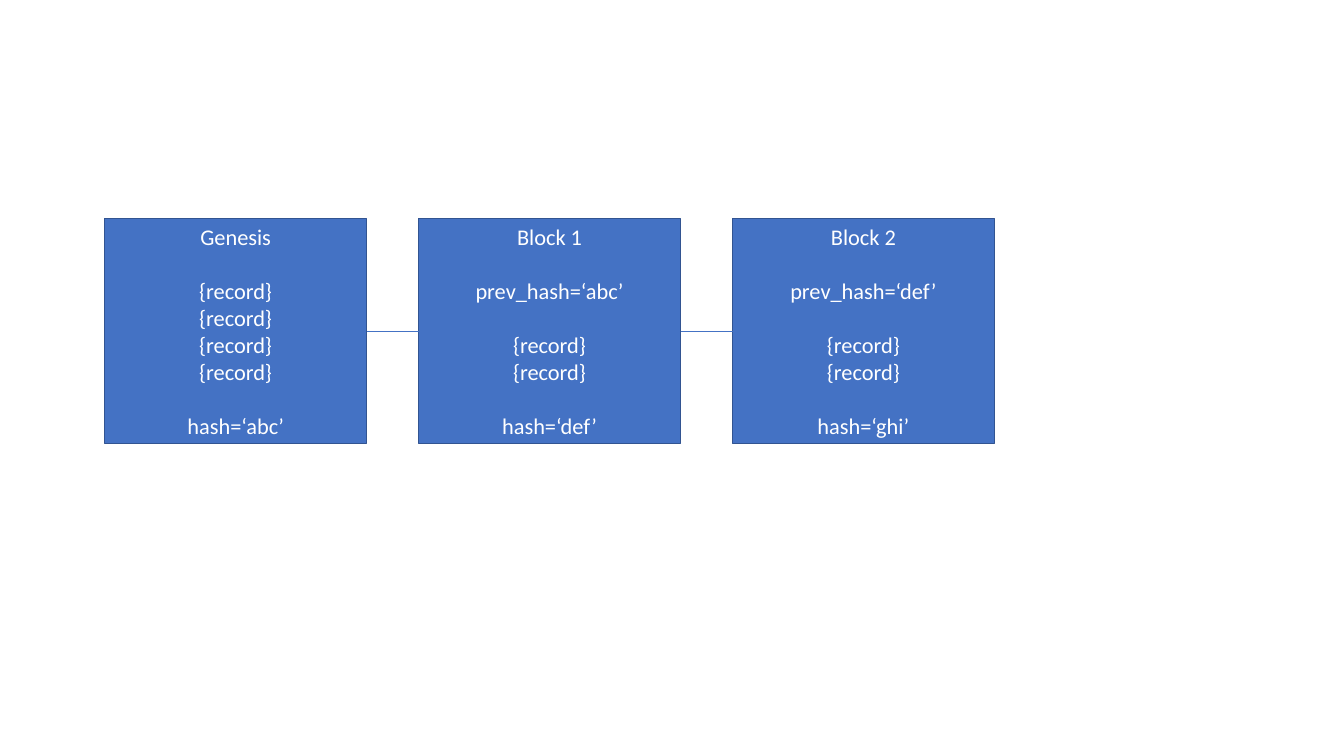
from dataclasses import dataclass
from itertools import pairwise

from lxml import etree
from pptx import Presentation
from pptx.dml.color import RGBColor
from pptx.enum.shapes import MSO_CONNECTOR, MSO_SHAPE
from pptx.enum.text import MSO_ANCHOR, PP_ALIGN
from pptx.oxml.ns import qn
from pptx.shapes.autoshape import Shape
from pptx.slide import Slide
from pptx.util import Cm, Pt

RECTANGLE = MSO_SHAPE.RECTANGLE
STRAIGHT = MSO_CONNECTOR.STRAIGHT
MIDDLE = MSO_ANCHOR.MIDDLE
CENTER = PP_ALIGN.CENTER

BLUE = RGBColor(0x44, 0x72, 0xC4)
DARK_BLUE = RGBColor(0x32, 0x54, 0x91)
WHITE = RGBColor(0xFF, 0xFF, 0xFF)

BLOCK_LEFT, BLOCK_TOP = Cm(2.64), Cm(5.51)
BLOCK_WIDTH, BLOCK_HEIGHT = Cm(6.6), Cm(5.66)
BLOCK_PITCH = Cm(7.91)
SECTION_GAP = Pt(19.5)
LEFT_SITE, RIGHT_SITE = 1, 3
RECORD = "{record}"


@dataclass(frozen=True)
class Block:
    """One block of the chain, its lines grouped in sections set apart by a gap."""

    sections: list[list[str]]


BLOCKS = [
    Block([["Genesis"], [RECORD] * 4, ["hash=‘abc’"]]),
    Block([["Block 1"], ["prev_hash=‘abc’"], [RECORD] * 2, ["hash=‘def’"]]),
    Block([["Block 2"], ["prev_hash=‘def’"], [RECORD] * 2, ["hash=‘ghi’"]]),
]


def write_sections(shape: Shape, sections: list[list[str]]) -> None:
    """Write each line as a paragraph, with space before every later section."""
    frame = shape.text_frame
    frame.word_wrap = True
    frame.vertical_anchor = MIDDLE
    frame.text = "\n".join(line for section in sections for line in section)
    for paragraph in frame.paragraphs:
        paragraph.alignment = CENTER
        paragraph.font.name = "Calibri"
        paragraph.font.size = Pt(16)
        paragraph.font.color.rgb = WHITE
    start = 0
    for section in sections[:-1]:
        start += len(section)
        frame.paragraphs[start].space_before = SECTION_GAP


def draw_block(slide: Slide, block: Block, position: int) -> Shape:
    """Draw a block at its position in the chain."""
    left = BLOCK_LEFT + position * BLOCK_PITCH
    shape = slide.shapes.add_shape(RECTANGLE, left, BLOCK_TOP, BLOCK_WIDTH, BLOCK_HEIGHT)
    shape.shadow.inherit = False
    shape.fill.solid()
    shape.fill.fore_color.rgb = BLUE
    shape.line.color.rgb = DARK_BLUE
    shape.line.width = Pt(1)
    write_sections(shape, block.sections)
    return shape


def link_blocks(slide: Slide, previous: Shape, following: Shape) -> None:
    """Join the right side of one block to the left side of the next."""
    connector = slide.shapes.add_connector(STRAIGHT, 0, 0, 0, 0)
    connector.begin_connect(previous, RIGHT_SITE)
    connector.end_connect(following, LEFT_SITE)
    connector.line.color.rgb = BLUE
    connector.line.width = Pt(0.5)
    etree.SubElement(connector.element.spPr, qn("a:effectLst"))


presentation = Presentation()
presentation.slide_width = Cm(33.87)
presentation.slide_height = Cm(19.05)
slide = presentation.slides.add_slide(presentation.slide_layouts[6])

block_shapes = [draw_block(slide, block, position) for position, block in enumerate(BLOCKS)]
for previous, following in pairwise(block_shapes):
    link_blocks(slide, previous, following)

presentation.save("out.pptx")
